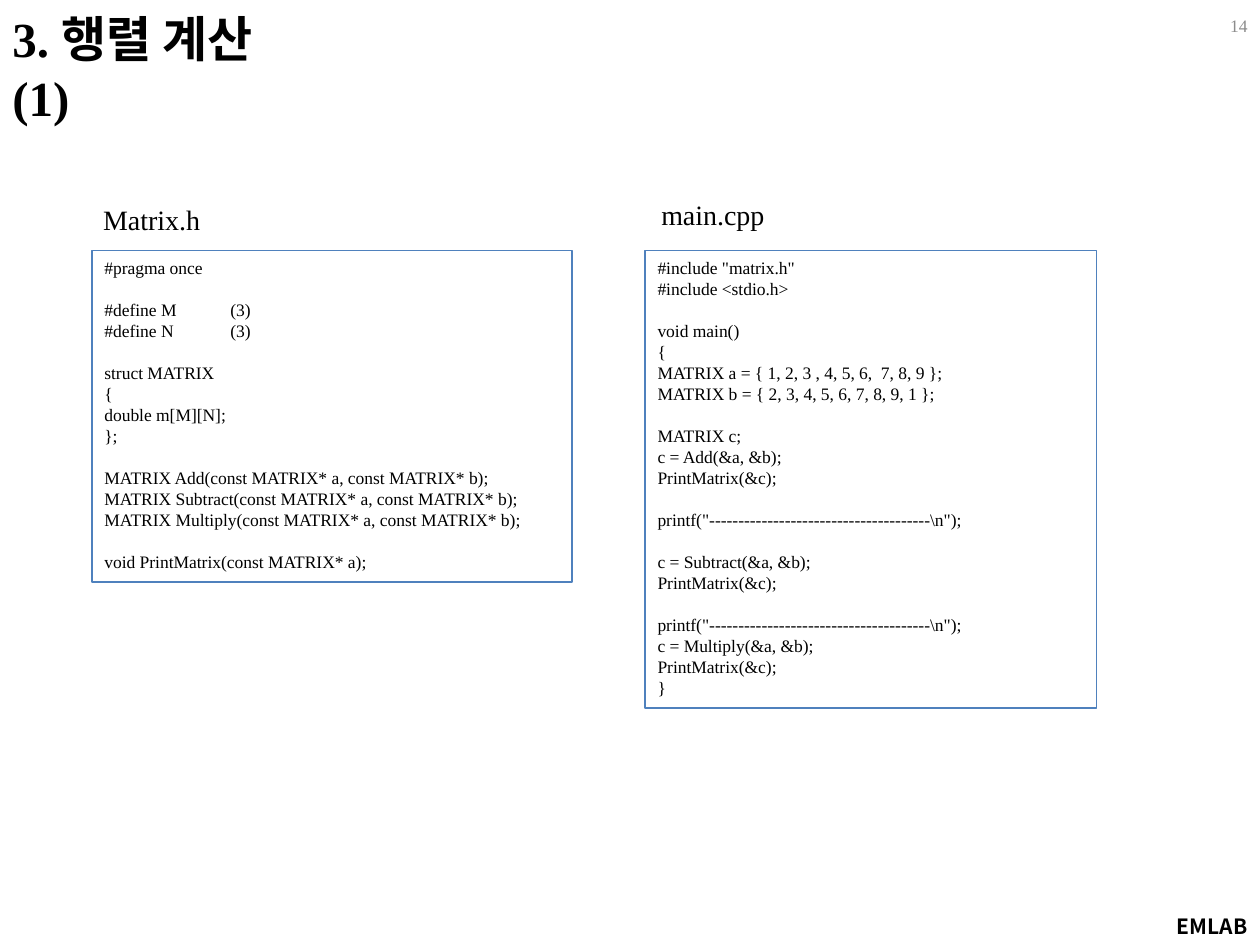
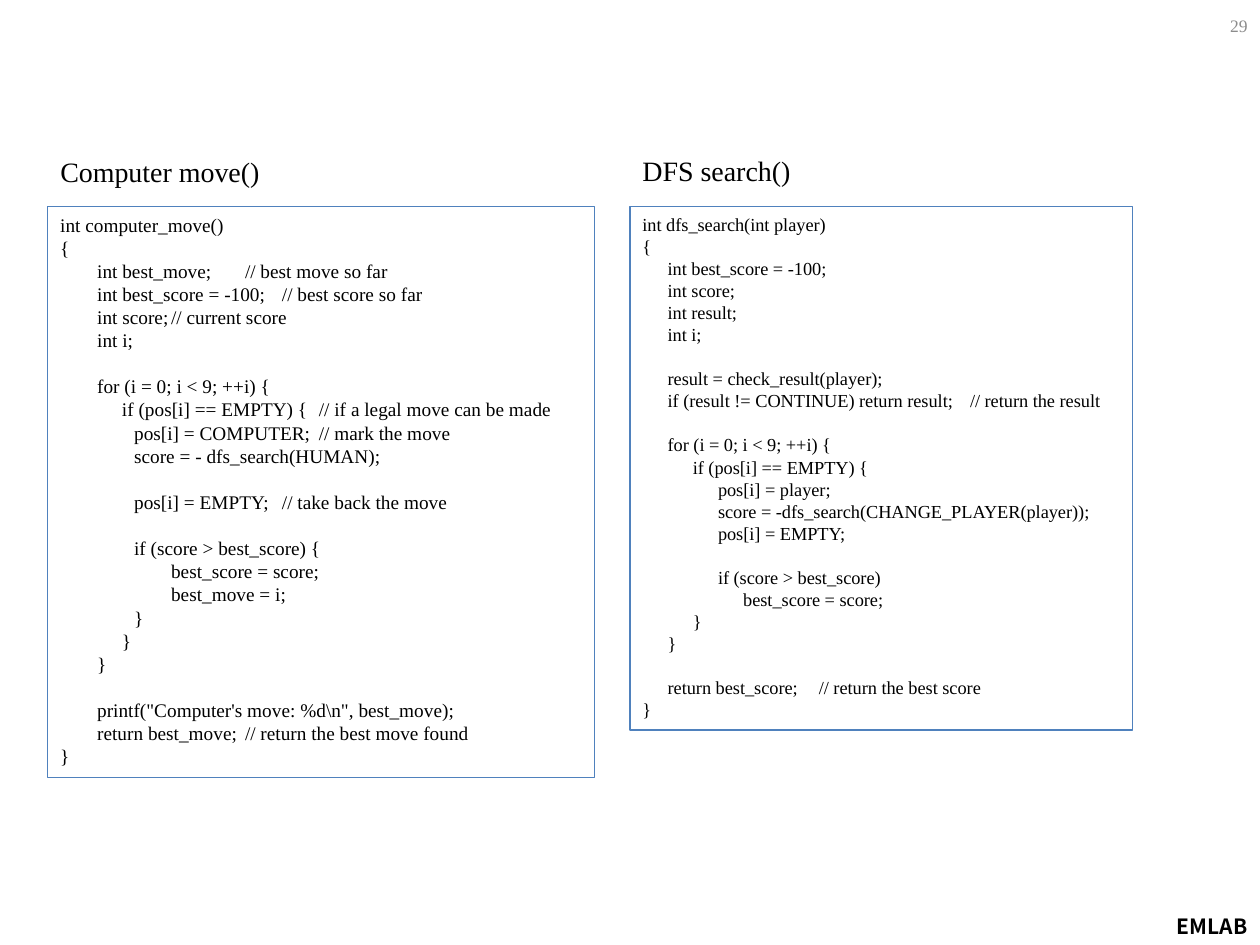
"""Build two slides that show pairs of C++ code listings under headings."""
from dataclasses import dataclass

from lxml.etree import SubElement
from pptx import Presentation
from pptx.dml.color import RGBColor
from pptx.enum.shapes import MSO_SHAPE
from pptx.enum.text import MSO_ANCHOR, PP_ALIGN
from pptx.oxml.ns import qn
from pptx.util import Inches, Pt


@dataclass(frozen=True)
class Theme:
    """Colours, fonts, type sizes and text metrics."""
    text: str = "000000"
    number: str = "8C8C8C"
    outline: str = "4F81BD"
    latin_font: str = "Times New Roman"
    korean_font: str = "Noto Sans CJK KR"
    title_size: float = 28
    heading_size: float = 16
    footer_size: float = 12
    small_size: float = 10
    line_pitch: float = 1.2
    box_padding: float = 0.13


THEME = Theme()
WIDTH, HEIGHT = 10, 7.5
FOOTER = "EMLAB"
DASHES = "-" * 38

MATRIX_HEADER = [
    "#pragma once",
    "",
    "#define M\t(3)",
    "#define N\t(3)",
    "",
    "struct MATRIX",
    "{",
    "double m[M][N];",
    "};",
    "",
    "MATRIX Add(const MATRIX* a, const MATRIX* b);",
    "MATRIX Subtract(const MATRIX* a, const MATRIX* b);",
    "MATRIX Multiply(const MATRIX* a, const MATRIX* b);",
    "",
    "void PrintMatrix(const MATRIX* a);",
]
MATRIX_MAIN = [
    '#include "matrix.h"',
    "#include <stdio.h>",
    "",
    "void main()",
    "{",
    "MATRIX a = { 1, 2, 3 , 4, 5, 6,  7, 8, 9 };",
    "MATRIX b = { 2, 3, 4, 5, 6, 7, 8, 9, 1 };",
    "",
    "MATRIX c;",
    "c = Add(&a, &b);",
    "PrintMatrix(&c);",
    "",
    f'printf("{DASHES}\\n");',
    "",
    "c = Subtract(&a, &b);",
    "PrintMatrix(&c);",
    "",
    f'printf("{DASHES}\\n");',
    "c = Multiply(&a, &b);",
    "PrintMatrix(&c);",
    "}",
]
COMPUTER_MOVE = [
    "int computer_move()",
    "{",
    "\tint best_move;\t// best move so far",
    "\tint best_score = -100;\t// best score so far",
    "\tint score;\t// current score",
    "\tint i;",
    "",
    "\tfor (i = 0; i < 9; ++i) {",
    "\t\tif (pos[i] == EMPTY) {\t// if a legal move can be made",
    "\t\t\tpos[i] = COMPUTER;\t// mark the move",
    "\t\t\tscore = - dfs_search(HUMAN);",
    "",
    "\t\t\tpos[i] = EMPTY;\t// take back the move",
    "",
    "\t\t\tif (score > best_score) {",
    "\t\t\t\tbest_score = score;",
    "\t\t\t\tbest_move = i;",
    "\t\t\t}",
    "\t\t}",
    "\t}",
    "",
    "\tprintf(\"Computer's move: %d\\n\", best_move);",
    "\treturn best_move;\t// return the best move found",
    "}",
]
DFS_SEARCH = [
    "int dfs_search(int player)",
    "{",
    "\tint best_score = -100;",
    "\tint score;",
    "\tint result;",
    "\tint i;",
    "",
    "\tresult = check_result(player);",
    "\tif (result != CONTINUE) return result;\t// return the result",
    "",
    "\tfor (i = 0; i < 9; ++i) {",
    "\t\tif (pos[i] == EMPTY) {",
    "\t\t\tpos[i] = player;",
    "\t\t\tscore = -dfs_search(CHANGE_PLAYER(player));",
    "\t\t\tpos[i] = EMPTY;",
    "",
    "\t\t\tif (score > best_score)",
    "\t\t\t\tbest_score = score;",
    "\t\t}",
    "\t}",
    "",
    "\treturn best_score;\t// return the best score",
    "}",
]


def tab_grid(step, extra=()):
    """Return tab positions at every step, plus any extra ones."""
    return sorted([step * column for column in range(1, 15)] + list(extra))


SLIDES = [
    dict(number="14", title="3. 행렬 계산 (1)", box_top=1.99, listings=[
        dict(heading="Matrix.h", heading_at=(0.72, 1.56), left=0.73, width=3.81,
             size=10, lines=MATRIX_HEADER, tabs=[1]),
        dict(heading="main.cpp", heading_at=(5.15, 1.52), left=5.12, width=3.58,
             size=10, lines=MATRIX_MAIN, tabs=[]),
    ]),
    dict(number="29", title=None, box_top=1.64, listings=[
        dict(heading="Computer move()", heading_at=(0.38, 1.18), left=0.38, width=4.34,
             size=11, lines=COMPUTER_MOVE, tabs=tab_grid(0.88 / 3, [0.49])),
        dict(heading="DFS search()", heading_at=(5, 1.17), left=5, width=3.99,
             size=10.5, lines=DFS_SEARCH, tabs=tab_grid(0.2)),
    ]),
]


def write(shape, lines, size=THEME.small_size, color=THEME.text, font=THEME.latin_font,
          bold=False, align=PP_ALIGN.LEFT, anchor=MSO_ANCHOR.TOP, pitch=None, tabs=()):
    """Fill a shape with lines; an empty line becomes space before the next."""
    frame = shape.text_frame
    frame.word_wrap = True
    frame.vertical_anchor = anchor
    paragraph, gap = frame.paragraphs[0], 0
    for index, line in enumerate(lines):
        if not line:
            gap += 1
            continue
        if index:
            paragraph = frame.add_paragraph()
        paragraph.alignment = align
        if pitch:
            paragraph.line_spacing = Pt(pitch)
            paragraph.space_before = Pt(pitch * gap)
        gap = 0
        if tabs:
            tab_list = SubElement(paragraph._p.get_or_add_pPr(), qn("a:tabLst"))
            for position in tabs:
                SubElement(tab_list, qn("a:tab"), pos=str(Inches(position)), algn="l")
        run = paragraph.add_run()
        run.text = line
        run.font.name = font
        run.font.size = Pt(size)
        run.font.bold = bold
        run.font.color.rgb = RGBColor.from_string(color)
        SubElement(run.font._element, qn("a:ea"), typeface=THEME.korean_font)


def add_text(slide, text, left, top, width, height, **text_format):
    """Add a one-paragraph text box."""
    box = slide.shapes.add_textbox(*map(Inches, (left, top, width, height)))
    write(box, [text], **text_format)


def add_listing(slide, listing, top):
    """Add a heading and an outlined box sized to its lines of code."""
    pitch = listing["size"] * THEME.line_pitch
    height = len(listing["lines"]) * pitch / 72 + THEME.box_padding
    box = slide.shapes.add_shape(
        MSO_SHAPE.RECTANGLE,
        *map(Inches, (listing["left"], top, listing["width"], height)))
    box.shadow.inherit = False
    box.fill.background()
    box.line.color.rgb = RGBColor.from_string(THEME.outline)
    box.line.width = Pt(0.75)
    write(box, listing["lines"], size=listing["size"], pitch=pitch, tabs=listing["tabs"])
    add_text(slide, listing["heading"], *listing["heading_at"], 2.21, 0.37,
             size=THEME.heading_size)


def add_slide(presentation, content):
    """Add one slide with its footer, number, title and listings."""
    slide = presentation.slides.add_slide(presentation.slide_layouts[6])
    add_text(slide, FOOTER, WIDTH - 1.1, HEIGHT - 0.3, 1.1, 0.3, size=THEME.footer_size,
             font=THEME.korean_font, bold=True, align=PP_ALIGN.RIGHT)
    add_text(slide, content["number"], WIDTH - 0.75, 0, 0.75, 0.4, color=THEME.number,
             align=PP_ALIGN.RIGHT, anchor=MSO_ANCHOR.MIDDLE)
    if content["title"]:
        add_text(slide, content["title"], 0, 0.02, 2.6, 0.57, size=THEME.title_size,
                 bold=True)
    for listing in content["listings"]:
        add_listing(slide, listing, content["box_top"])


def main():
    """Build and save the presentation."""
    presentation = Presentation()
    presentation.slide_width = Inches(WIDTH)
    presentation.slide_height = Inches(HEIGHT)
    for content in SLIDES:
        add_slide(presentation, content)
    presentation.save("out.pptx")


if __name__ == "__main__":
    main()
